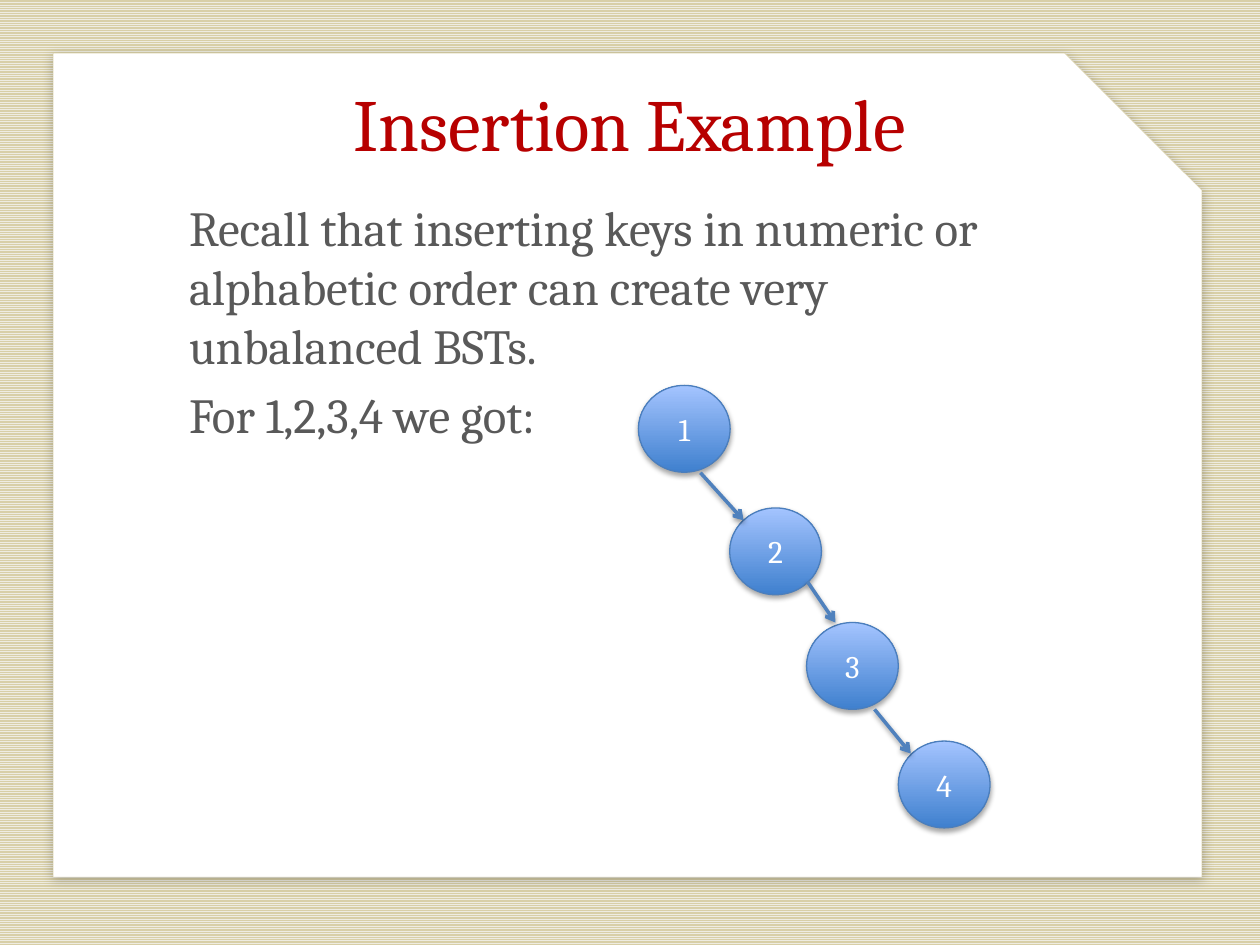
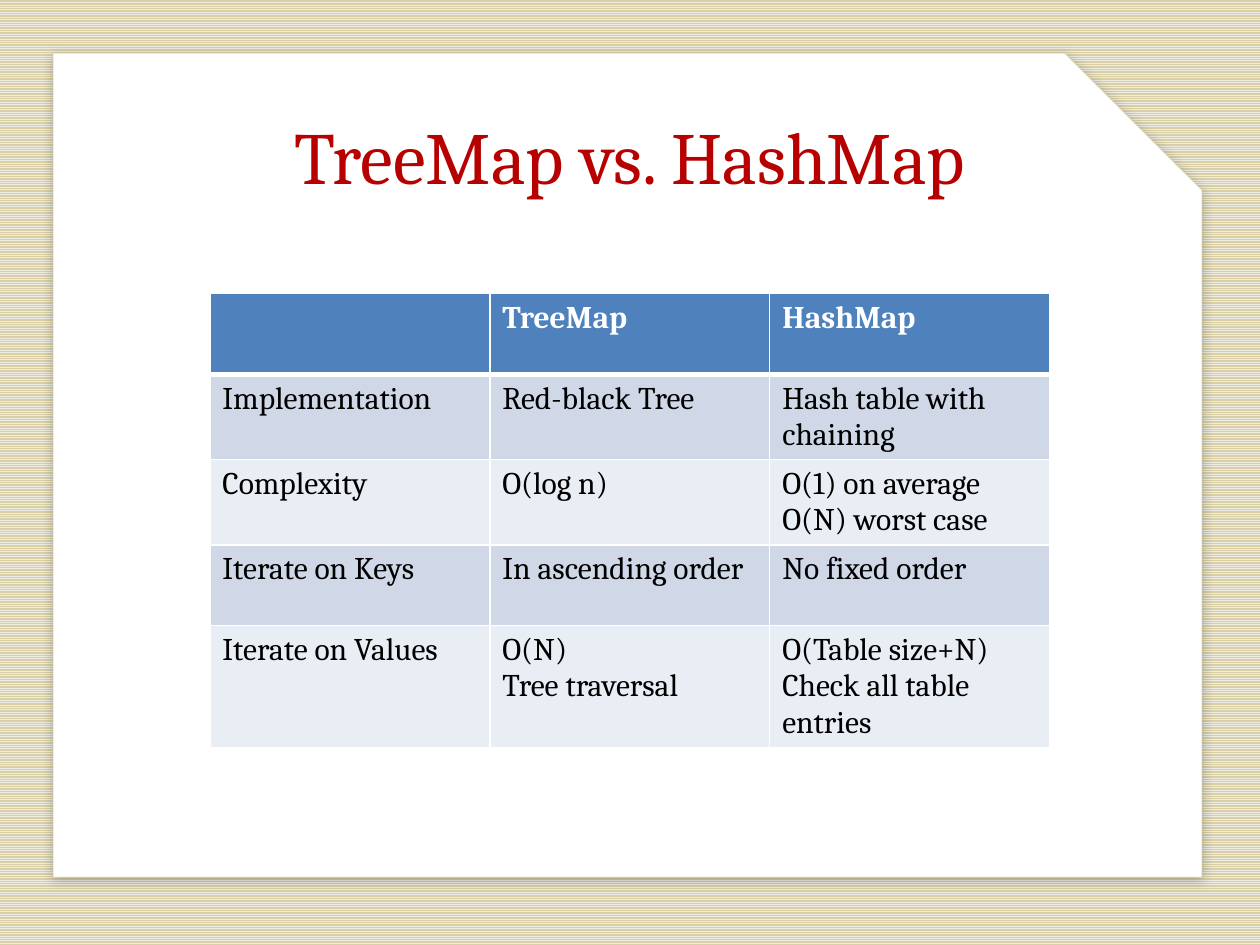
from dataclasses import dataclass

from lxml.etree import SubElement
from pptx import Presentation
from pptx.dml.color import RGBColor
from pptx.enum.dml import MSO_PATTERN
from pptx.enum.shapes import MSO_CONNECTOR, MSO_SHAPE
from pptx.enum.text import MSO_ANCHOR, MSO_AUTO_SIZE, PP_ALIGN
from pptx.oxml.ns import qn
from pptx.util import Cm, Pt

FONT = "Cambria"
COLORS = {
    "title": "B70000",
    "body": "595959",
    "white": "FFFFFF",
    "black": "000000",
    "stripe": "EEECE1",
    "sand": "D8CFA7",
    "node_dark": "3F80CE",
    "node_light": "A4C4FF",
    "node_line": "4B7EBC",
    "accent": "4F81BD",
    "band_dark": "D0D8E8",
    "band_light": "E9EDF4",
}


@dataclass(frozen=True)
class Box:
    left: float
    top: float
    width: float
    height: float

    def lengths(self) -> tuple:
        return Cm(self.left), Cm(self.top), Cm(self.width), Cm(self.height)


@dataclass(frozen=True)
class Node:
    label: str
    left: float
    top: float


@dataclass(frozen=True)
class Edge:
    x1: float
    y1: float
    x2: float
    y2: float


@dataclass(frozen=True)
class Shadow:
    alpha: int
    blur: float
    dist: float
    angle: int


PANEL = Box(1.07, 1.07, 23.16, 16.61)
PANEL_SHADOW = Shadow(22, 6, 2, 80)
NODE_SHADOW = Shadow(35, 3.1, 1.8, 90)
EDGE_SHADOW = Shadow(38, 3.1, 1.6, 90)
NODE_WIDTH, NODE_HEIGHT = 1.85, 1.75

NODES = [
    Node("1", 12.87, 7.77),
    Node("2", 14.71, 10.24),
    Node("3", 16.26, 12.55),
    Node("4", 18.11, 14.94),
]
EDGES = [
    Edge(14.12, 9.53, 14.99, 10.49),
    Edge(16.28, 11.73, 16.84, 12.55),
    Edge(17.63, 14.3, 18.36, 15.19),
]

ROWS = [
    ["", "TreeMap", "HashMap"],
    ["Implementation", "Red-black Tree", "Hash table with chaining"],
    ["Complexity", "O(log n)", "O(1) on average\nO(N) worst case"],
    ["Iterate on Keys", "In ascending order", "No fixed order"],
    ["Iterate on Values", "O(N)\nTree traversal",
     "O(Table size+N)\nCheck all table entries"],
]


def rgb(name: str) -> RGBColor:
    return RGBColor.from_string(COLORS[name])


def write(tf, text: str, *, size: float = 18, color: str = "black",
          bold: bool = False, align=PP_ALIGN.LEFT, before: float = 0) -> None:
    for i, line in enumerate(text.split("\n")):
        p = tf.add_paragraph() if i else tf.paragraphs[0]
        p.alignment = align
        p.space_before = Pt(before)
        r = p.add_run()
        r.text = line
        r.font.name = FONT
        r.font.size = Pt(size)
        r.font.bold = bold
        r.font.color.rgb = rgb(color)


def add_shadow(sp, shadow: Shadow) -> None:
    effects = SubElement(sp.element.spPr, qn("a:effectLst"))
    outer = SubElement(effects, qn("a:outerShdw"), blurRad=str(Pt(shadow.blur)),
                       dist=str(Pt(shadow.dist)), dir=str(shadow.angle * 60000),
                       rotWithShape="0")
    clr = SubElement(outer, qn("a:srgbClr"), val=COLORS["black"])
    SubElement(clr, qn("a:alpha"), val=str(shadow.alpha * 1000))


def set_line(sp, color: str, width: float) -> None:
    sp.line.color.rgb = rgb(color)
    sp.line.width = Pt(width)


def style_master(prs, layout, slide) -> None:
    fill = prs.slide_master.background.fill
    fill.patterned()
    fill.pattern = MSO_PATTERN.NARROW_HORIZONTAL
    fill.fore_color.rgb = rgb("stripe")
    fill.back_color.rgb = rgb("sand")
    sp = slide.shapes.add_shape(MSO_SHAPE.SNIP_1_RECTANGLE, *PANEL.lengths())
    sp.fill.solid()
    sp.fill.fore_color.rgb = rgb("white")
    set_line(sp, "sand", 0.25)
    add_shadow(sp, PANEL_SHADOW)
    layout.shapes.element.insert(2, sp.element)


def fill_placeholder(sp, box: Box, text: str, **fmt) -> None:
    sp.left, sp.top, sp.width, sp.height = box.lengths()
    tf = sp.text_frame
    tf.margin_left = tf.margin_top = tf.margin_right = tf.margin_bottom = 0
    tf.word_wrap = True
    tf.auto_size = MSO_AUTO_SIZE.NONE
    tf.vertical_anchor = MSO_ANCHOR.TOP
    write(tf, text, **fmt)


def set_title(slide, text: str, top: float, height: float) -> None:
    fill_placeholder(slide.shapes.title, Box(1.9, top, 21.59, height), text,
                     size=42, color="title", align=PP_ALIGN.CENTER)


def add_node(shapes, node: Node) -> None:
    box = Box(node.left, node.top, NODE_WIDTH, NODE_HEIGHT)
    sp = shapes.add_shape(MSO_SHAPE.OVAL, *box.lengths())
    sp.fill.gradient()
    sp.fill.gradient_angle = 90
    for stop, color in zip(sp.fill.gradient_stops, ("node_dark", "node_light")):
        stop.color.rgb = rgb(color)
    set_line(sp, "node_line", 0.75)
    add_shadow(sp, NODE_SHADOW)
    sp.text_frame.vertical_anchor = MSO_ANCHOR.MIDDLE
    write(sp.text_frame, node.label, color="white", align=PP_ALIGN.CENTER)


def add_edge(shapes, edge: Edge) -> None:
    sp = shapes.add_connector(MSO_CONNECTOR.STRAIGHT, Cm(edge.x1), Cm(edge.y1),
                              Cm(edge.x2), Cm(edge.y2))
    set_line(sp, "accent", 2)
    SubElement(sp.element.spPr.find(qn("a:ln")), qn("a:tailEnd"), type="arrow")
    add_shadow(sp, EDGE_SHADOW)


def set_borders(cell, widths: dict[str, float]) -> None:
    tc_pr = cell._tc.get_or_add_tcPr()
    for side, width in widths.items():
        ln = SubElement(tc_pr, qn(f"a:ln{side}"), w=str(Pt(width)))
        fill = SubElement(ln, qn("a:solidFill"))
        SubElement(fill, qn("a:srgbClr"), val=COLORS["white"])


def add_comparison(slide, rows: list[list[str]], box: Box) -> None:
    table = slide.shapes.add_table(len(rows), len(rows[0]), *box.lengths()).table
    for i, row in enumerate(rows):
        header = i == 0
        band = "accent" if header else "band_dark" if i % 2 else "band_light"
        for j, text in enumerate(row):
            cell = table.cell(i, j)
            set_borders(cell, {"L": 1, "R": 1, "T": 3 if i == 1 else 1,
                               "B": 3 if header else 1})
            cell.fill.solid()
            cell.fill.fore_color.rgb = rgb(band)
            if text:
                write(cell.text_frame, text, bold=header,
                      color="white" if header else "black")


def build_insertion(slide) -> None:
    set_title(slide, "Insertion Example", 1.57, 2.08)
    fill_placeholder(
        slide.placeholders[1], Box(3.81, 3.99, 17.78, 11.02),
        "Recall that inserting keys in numeric or alphabetic order can create "
        "very unbalanced BSTs.\nFor 1,2,3,4 we got:",
        size=28, color="body", before=5.6)
    tree = slide.shapes.add_group_shape().shapes
    for node in NODES:
        add_node(tree, node)
    for edge in EDGES:
        add_edge(tree, edge)


def build_comparison(slide) -> None:
    set_title(slide, "TreeMap vs. HashMap", 2.24, 2.31)
    body = slide.placeholders[1].element
    body.getparent().remove(body)
    add_comparison(slide, ROWS, Box(4.23, 5.92, 16.93, 8.13))


prs = Presentation()
prs.slide_width, prs.slide_height = Cm(25.4), Cm(19.05)
layout = prs.slide_layouts[0]
slides = [prs.slides.add_slide(layout) for _ in range(2)]
style_master(prs, layout, slides[0])
build_insertion(slides[0])
build_comparison(slides[1])
prs.save("out.pptx")
